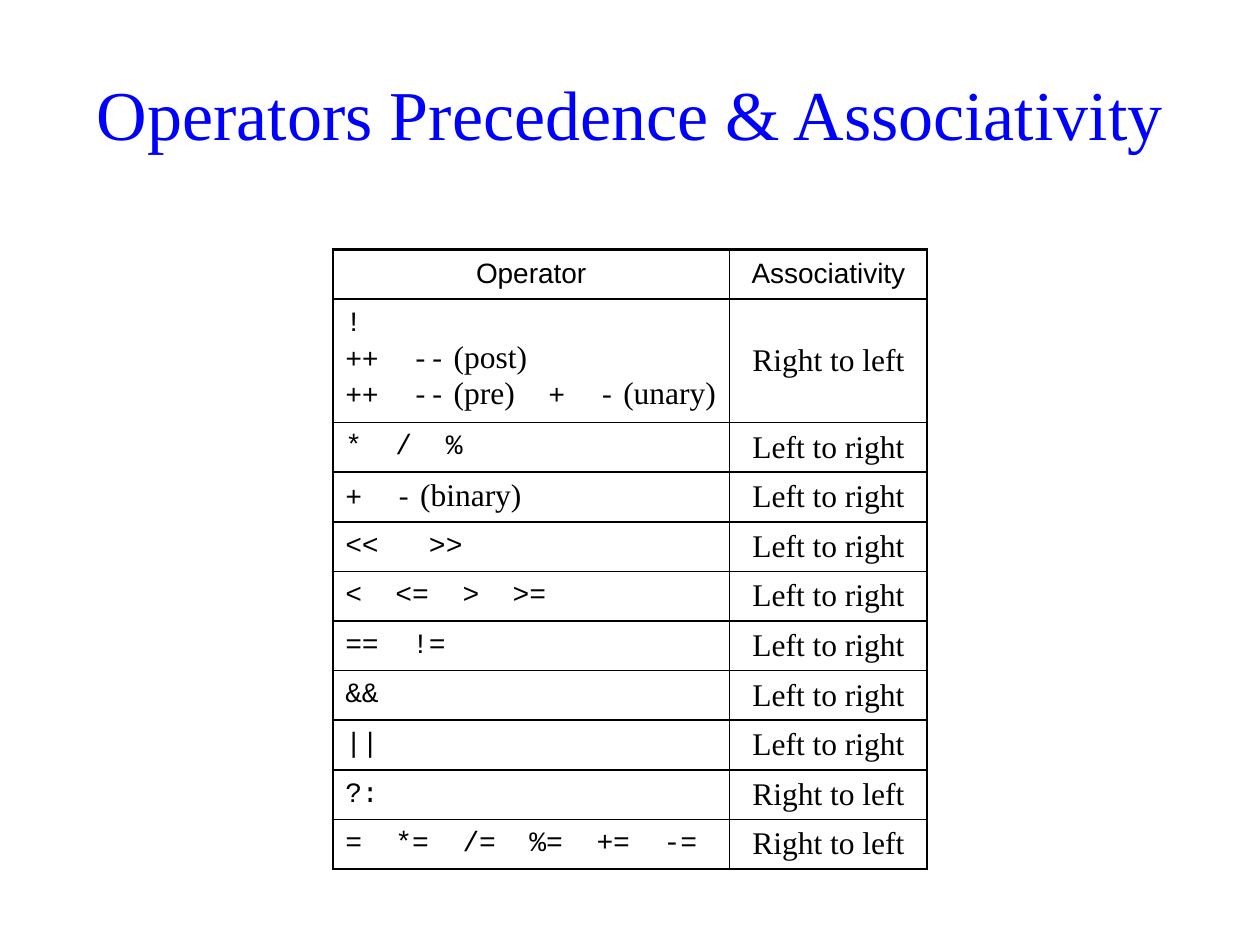
from lxml.etree import SubElement
from pptx import Presentation
from pptx.dml.color import RGBColor
from pptx.enum.text import MSO_ANCHOR, PP_ALIGN
from pptx.oxml import parse_xml
from pptx.oxml.ns import nsdecls, qn
from pptx.util import Inches, Pt

BLUE = RGBColor(0x00, 0x00, 0xFF)
BLACK = RGBColor(0x00, 0x00, 0x00)
SERIF, SANS, MONO = "Times New Roman", "Arial", "Courier New"
LEFT, RIGHT = "Left to right", "Right to left"
TALL, HEIGHT = 0.98, 4.92

# Each line of operators alternates between code and a note in words.
ROWS = [
    ([["!"], ["++  --", " (post)"], ["++  --", " (pre)", "  +  -", " (unary)"]], RIGHT),
    ([["*  /  %"]], LEFT),
    ([["+  -", " (binary)"]], LEFT),
    ([["<<   >>"]], LEFT),
    ([["<  <=  >  >="]], LEFT),
    ([["==  !="]], LEFT),
    ([["&&"]], LEFT),
    ([["||"]], LEFT),
    ([["?:"]], RIGHT),
    ([["=  *=  /=  %=  +=  -="]], RIGHT),
]


def style(font, name, size, color=BLACK):
    font.name = name
    font.size = Pt(size)
    font.bold = False
    font.color.rgb = color


def add_title(slide, text):
    title = slide.shapes.title
    title.left, title.top = Inches(0.47), Inches(0.4)
    title.width, title.height = Inches(9.06), Inches(0.98)
    frame = title.text_frame
    frame.text = text
    frame.vertical_anchor = MSO_ANCHOR.MIDDLE
    para = frame.paragraphs[0]
    para.alignment = PP_ALIGN.CENTER
    style(para.runs[0].font, SERIF, 40, BLUE)


def set_borders(cell, widths):
    """Draw the left, right, top and bottom lines, with widths in points."""
    props = cell._tc.get_or_add_tcPr()
    for place, (side, width) in enumerate(zip("LRTB", widths)):
        line = parse_xml(f'<a:ln{side} {nsdecls("a")} w="{Pt(width)}"/>')
        fill = SubElement(line, qn("a:solidFill"))
        SubElement(fill, qn("a:srgbClr"), val=str(BLACK))
        props.insert(place, line)


def fill_label(cell, text, name, size):
    cell.text_frame.text = text
    para = cell.text_frame.paragraphs[0]
    para.alignment = PP_ALIGN.CENTER
    style(para.runs[0].font, name, size)


def fill_code(cell, lines):
    frame = cell.text_frame
    for row, parts in enumerate(lines):
        para = frame.add_paragraph() if row else frame.paragraphs[0]
        para.alignment = PP_ALIGN.LEFT
        for place, text in enumerate(parts):
            run = para.add_run()
            run.text = text
            if place % 2:
                style(run.font, SERIF, 18)
            else:
                style(run.font, MONO, 16)


def format_cells(table):
    """Clear the fills and make the outer frame heavier than the grid."""
    last_row, last_col = len(table.rows) - 1, len(table.columns) - 1
    for row in range(last_row + 1):
        for col in range(last_col + 1):
            cell = table.cell(row, col)
            cell.fill.background()
            cell.vertical_anchor = MSO_ANCHOR.MIDDLE
            cell.margin_left = cell.margin_right = Inches(0.1)
            cell.margin_top = cell.margin_bottom = Inches(0.04)
            edges = (col == 0, col == last_col, row == 0, row == last_row)
            set_borders(cell, [1.5 if edge else 1 for edge in edges])


def add_operators(slide):
    count = len(ROWS) + 1
    table = slide.shapes.add_table(
        count, 2, Inches(2.64), Inches(1.98), Inches(4.72), Inches(HEIGHT)
    ).table
    table.first_row = table.horz_banding = False
    for col, width in zip(table.columns, (3.15, 1.57)):
        col.width = Inches(width)
    for row in table.rows:
        row.height = Inches((HEIGHT - TALL) / (count - 1))
    table.rows[1].height = Inches(TALL)
    format_cells(table)
    for col, head in enumerate(("Operator", "Associativity")):
        fill_label(table.cell(0, col), head, SANS, 16)
    for row, (lines, order) in enumerate(ROWS, 1):
        fill_code(table.cell(row, 0), lines)
        fill_label(table.cell(row, 1), order, SERIF, 18)


def main():
    deck = Presentation()
    deck.slide_width, deck.slide_height = Inches(10), Inches(7.5)
    slide = deck.slides.add_slide(deck.slide_layouts[5])
    add_title(slide, "Operators Precedence & Associativity")
    add_operators(slide)
    deck.save("out.pptx")


if __name__ == "__main__":
    main()
